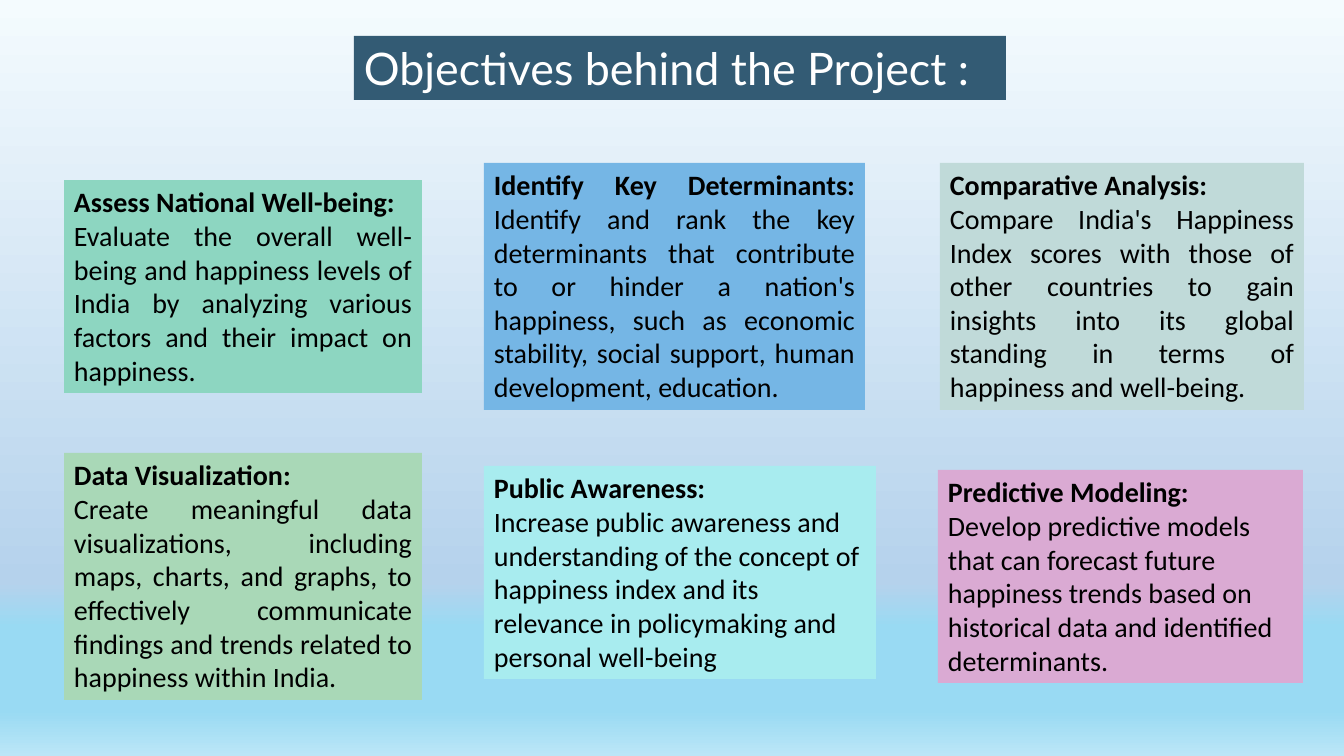
import pptx
import pptx.dml.color
import pptx.enum.text
import pptx.oxml
import pptx.oxml.ns
import pptx.util

PX = 914400 / 100.8
LEFT = pptx.enum.text.PP_ALIGN.LEFT
JUSTIFY = pptx.enum.text.PP_ALIGN.JUSTIFY

SKY = [(0, "F4FBFE"), (77, "B5D2EC"), (83, "99DAF3"), (94, "99DAF3"), (100, "BBE6F7")]

OBJECTIVES = [
    ((64, 180, 358, 213), "8DD6C1", "Assess National Well-being:", JUSTIFY,
     "Evaluate the overall well-being and happiness levels of India by analyzing "
     "various factors and their impact on happiness.", JUSTIFY),
    ((940, 163, 364, 247), "C0DAD9", "Comparative Analysis:", JUSTIFY,
     "Compare India's Happiness Index scores with those of other countries to gain "
     "insights into its global standing in terms of happiness and well-being.", JUSTIFY),
    ((64, 453, 358, 247), "A9D8B7", "Data Visualization:", LEFT,
     "Create meaningful data visualizations, including maps, charts, and graphs, to "
     "effectively communicate findings and trends related to happiness within India.", JUSTIFY),
    ((484, 466, 392, 213), "A8ECEF", "Public Awareness:", LEFT,
     "Increase public awareness and understanding of the concept of happiness index "
     "and its relevance in policymaking and personal well-being", LEFT),
    ((938, 470, 365, 213), "DAAAD3", "Predictive Modeling:", LEFT,
     "Develop predictive models that can forecast future happiness trends based on "
     "historical data and identified determinants.", LEFT),
]


def px(length):
    """Turn px into EMU."""
    return pptx.util.Emu(round(length * PX))


def color(hex_code):
    """Turn a hex string into a colour."""
    return pptx.dml.color.RGBColor.from_string(hex_code)


def paint_background(slide, stops):
    """Fill the background with a gradient running from top to bottom."""
    fill = slide.background.fill
    fill.gradient()
    fill.gradient_angle = 270
    stop_list = next(slide.element.iter(pptx.oxml.ns.qn("a:gsLst")))
    for stop in list(stop_list):
        stop_list.remove(stop)
    for percent, hex_code in stops:
        stop_list.append(pptx.oxml.parse_xml(
            f'<a:gs {pptx.oxml.ns.nsdecls("a")} pos="{percent * 1000}">'
            f'<a:srgbClr val="{hex_code}"/></a:gs>'))


def add_panel(slide, box, hex_code):
    """Add a filled, wrapping text box and return its text frame."""
    panel = slide.shapes.add_textbox(*map(px, box))
    panel.fill.solid()
    panel.fill.fore_color.rgb = color(hex_code)
    frame = panel.text_frame
    frame.word_wrap = True
    frame.auto_size = pptx.enum.text.MSO_AUTO_SIZE.SHAPE_TO_FIT_TEXT
    return frame


def style(paragraph, align, size=20, name="Calibri", hex_code="000000", bold=None):
    """Set the alignment and font of a paragraph."""
    paragraph.alignment = align
    paragraph.font.size = pptx.util.Pt(size)
    paragraph.font.name = name
    paragraph.font.bold = bold
    paragraph.font.color.rgb = color(hex_code)


def add_title(slide):
    """Add the title band."""
    title = add_panel(slide, (354, 36, 652, 64), "335B74").paragraphs[0]
    title.text = "Objectives behind the Project :"
    style(title, LEFT, 32, "Lato", "FFFFFF")


def add_objective(slide, box, hex_code, heading, heading_align, detail, detail_align):
    """Add an objective with a bold heading above its detail."""
    frame = add_panel(slide, box, hex_code)
    frame.text = f"{heading}\n{detail}"
    style(frame.paragraphs[0], heading_align, bold=True)
    style(frame.paragraphs[1], detail_align)


def add_inline_objective(slide, box, hex_code, heading, detail):
    """Add an objective whose bold heading runs into its detail."""
    paragraph = add_panel(slide, box, hex_code).paragraphs[0]
    style(paragraph, JUSTIFY)
    lead = paragraph.add_run()
    lead.text = heading
    lead.font.bold = True
    paragraph.add_run().text = f" {detail}"


def main():
    """Build and save the objectives slide."""
    deck = pptx.Presentation()
    deck.slide_width, deck.slide_height = px(1344), px(756)
    slide = deck.slides.add_slide(deck.slide_layouts[6])
    paint_background(slide, SKY)
    add_title(slide)
    add_inline_objective(
        slide, (484, 163, 381, 247), "75B6E5", "Identify Key Determinants:",
        "Identify and rank the key determinants that contribute to or hinder a nation's "
        "happiness, such as economic stability, social support, human development, education.")
    for objective in OBJECTIVES:
        add_objective(slide, *objective)
    deck.save("out.pptx")


if __name__ == "__main__":
    main()
